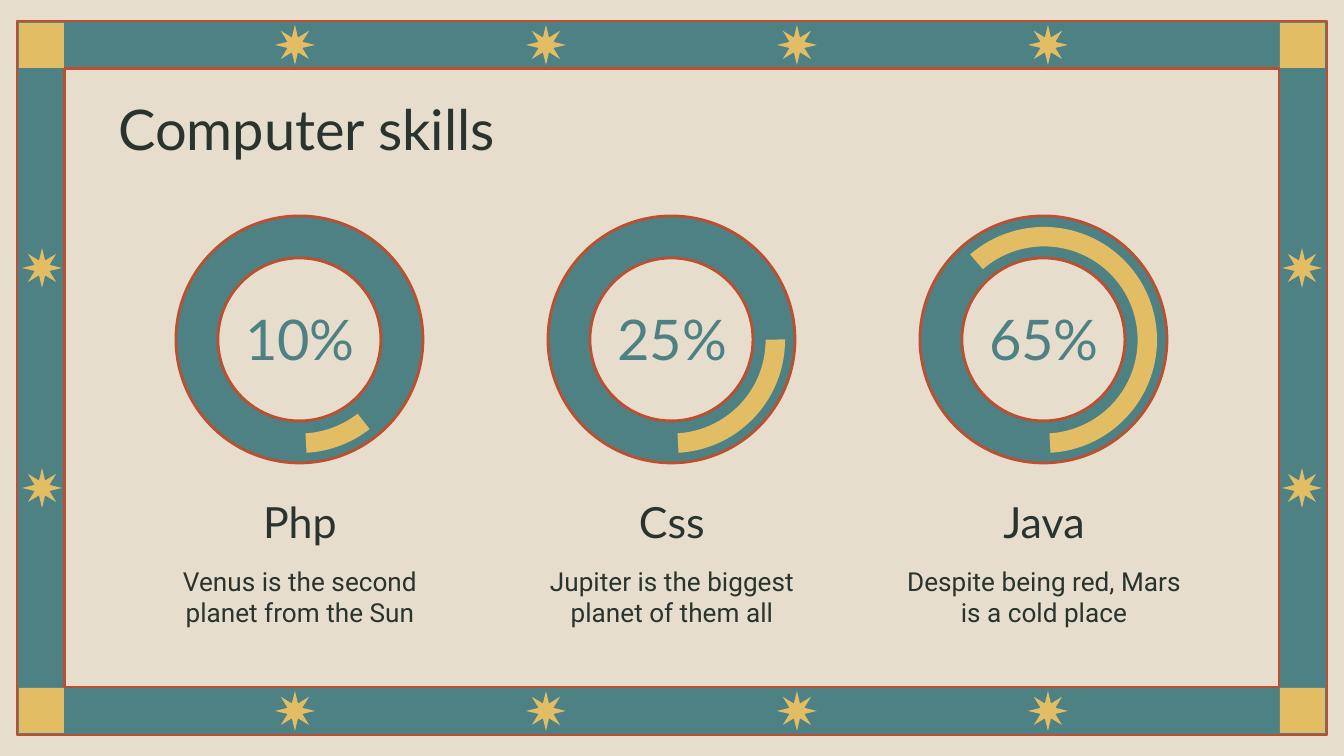
from pptx import Presentation
from pptx.dml.color import RGBColor
from pptx.enum.shapes import MSO_SHAPE
from pptx.enum.text import MSO_ANCHOR, PP_ALIGN
from pptx.util import Emu, Inches, Pt

EMU_PER_PX = 914400 / 134.4
SLIDE_WIDTH, SLIDE_HEIGHT = 1344, 756

SAND = RGBColor(0xE6, 0xDD, 0xCC)
TEAL = RGBColor(0x4E, 0x81, 0x83)
RUST = RGBColor(0xBB, 0x4F, 0x30)
GOLD = RGBColor(0xE3, 0xBD, 0x63)
INK = RGBColor(0x29, 0x34, 0x2E)

HEADING_FONT, BODY_FONT = "Lato", "Roboto"

# name, percentage, description, start of the arc in degrees
SKILLS = [
    ("Php", "10%", "Venus is the second planet from the Sun", 322),
    ("Css", "25%", "Jupiter is the biggest planet of them all", 269.75),
    ("Java", "65%", "Despite being red, Mars is a cold place", 139.16),
]
ARC_END = 356.7
FIRST_COLUMN, COLUMN_PITCH = 300, 372
COLUMN_WIDTH = 326


def px(length):
    return Emu(round(length * EMU_PER_PX))


def write_text(frame, text, size=14, font=BODY_FONT, color=INK,
               align=PP_ALIGN.LEFT, anchor=MSO_ANCHOR.TOP):
    frame.word_wrap = True
    frame.vertical_anchor = anchor
    frame.margin_left = frame.margin_right = Inches(0.1)
    frame.margin_top = frame.margin_bottom = Inches(0.1)
    paragraph = frame.paragraphs[0]
    paragraph.alignment = align
    run = paragraph.add_run()
    run.text = text
    run.font.size = Pt(size)
    run.font.name = font
    run.font.color.rgb = color


class SlideBuilder:
    def __init__(self, slide):
        self.slide = slide

    def background(self, color):
        fill = self.slide.background.fill
        fill.solid()
        fill.fore_color.rgb = color

    def shape(self, kind, left, top, width, height, fill=GOLD, line=None,
              adjustments=(), rotation=0):
        shape = self.slide.shapes.add_shape(
            kind, px(left), px(top), px(width), px(height))
        shape.shadow.inherit = False
        shape.fill.solid()
        shape.fill.fore_color.rgb = fill
        if line is None:
            shape.line.fill.background()
        else:
            shape.line.color.rgb = line
            shape.line.width = Pt(1.5)
        for index, value in enumerate(adjustments):
            shape.adjustments[index] = value
        shape.rotation = rotation

    def text(self, text, left, top, width, height, **style):
        box = self.slide.shapes.add_textbox(
            px(left), px(top), px(width), px(height))
        write_text(box.text_frame, text, **style)

    def star(self, left, top, rotation=0):
        self.shape(MSO_SHAPE.STAR_8_POINT, left, top, 40, 40,
                   adjustments=[0.2], rotation=rotation)

    def border(self):
        self.shape(MSO_SHAPE.FRAME, 17, 21, 1310, 714, fill=TEAL, line=RUST,
                   adjustments=[0.067])
        for left in (19, 1280):
            for top in (23, 688):
                self.shape(MSO_SHAPE.RECTANGLE, left, top, 45, 45)
        for top in (25, 691):
            for column in range(4):
                self.star(275 + 251 * column, top)
        for left in (22, 1282):
            for top in (248, 468):
                self.star(left, top, rotation=90)

    def ring(self, center, start):
        """Draw a ring with a gold progress arc inside its band."""
        self.shape(MSO_SHAPE.DONUT, center - 124, 216, 247, 247, fill=TEAL,
                   line=RUST, adjustments=[0.17])
        # python-pptx divides raw 60000ths of a degree by 100000
        angles = [degrees * 0.6 for degrees in (start, ARC_END)]
        self.shape(MSO_SHAPE.BLOCK_ARC, center - 113, 227, 226, 226,
                   adjustments=[*angles, 0.086], rotation=90)

    def skill(self, center, name, percentage, description, start):
        left = center - COLUMN_WIDTH // 2
        self.ring(center, start)
        self.text(percentage, center - 86, 286, 172, 105, size=30,
                  font=HEADING_FONT, color=TEAL, align=PP_ALIGN.CENTER,
                  anchor=MSO_ANCHOR.MIDDLE)
        self.text(name, left, 482, COLUMN_WIDTH, 69, size=23,
                  font=HEADING_FONT, align=PP_ALIGN.CENTER)
        self.text(description, left, 552, COLUMN_WIDTH, 75,
                  align=PP_ALIGN.CENTER)


def main():
    presentation = Presentation()
    presentation.slide_width = px(SLIDE_WIDTH)
    presentation.slide_height = px(SLIDE_HEIGHT)
    builder = SlideBuilder(
        presentation.slides.add_slide(presentation.slide_layouts[6]))
    builder.background(SAND)
    builder.border()
    builder.text("Computer skills", 105, 81, 1134, 69, size=30,
                 font=HEADING_FONT)
    for column, skill in enumerate(SKILLS):
        builder.skill(FIRST_COLUMN + COLUMN_PITCH * column, *skill)
    presentation.save("out.pptx")


if __name__ == "__main__":
    main()
